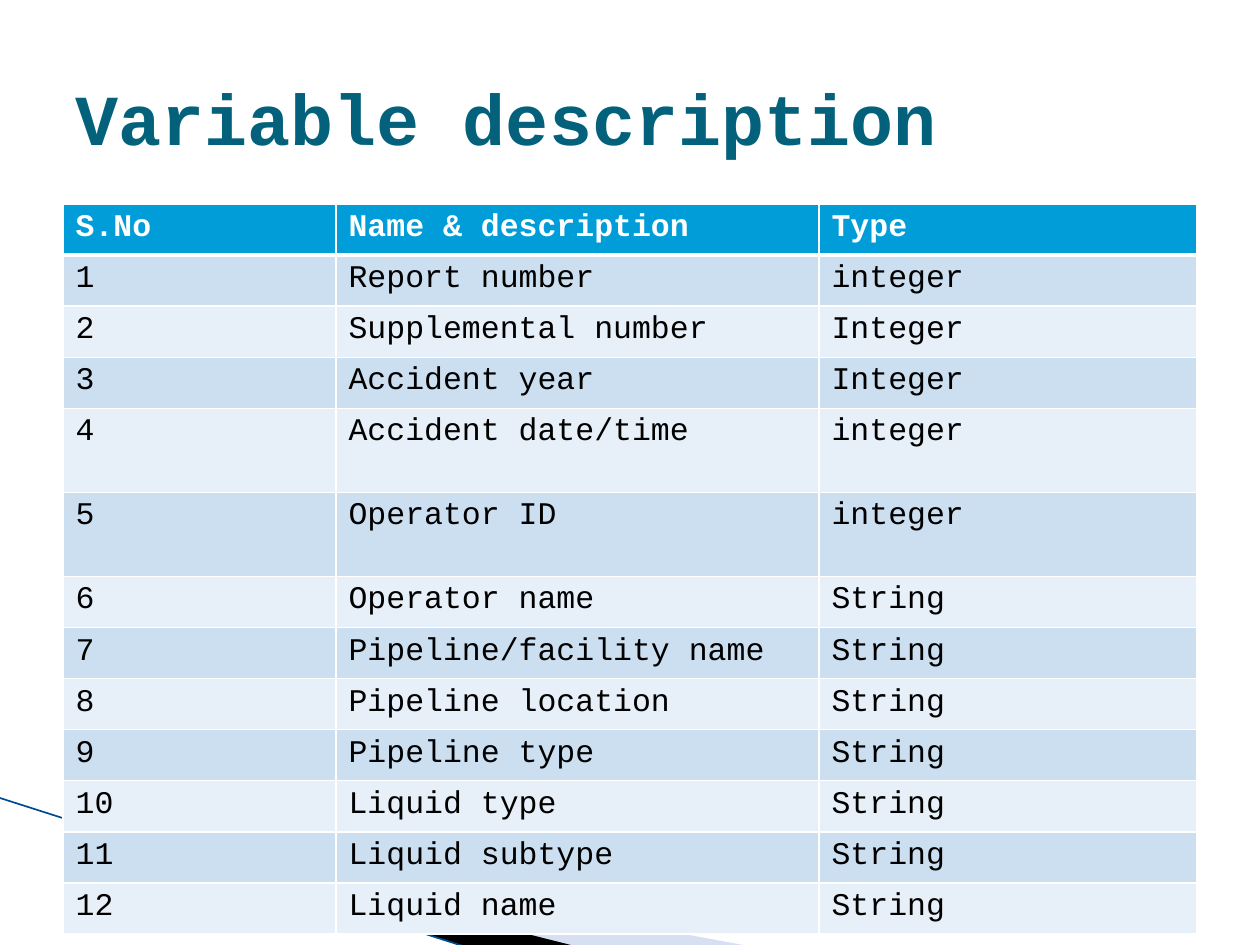
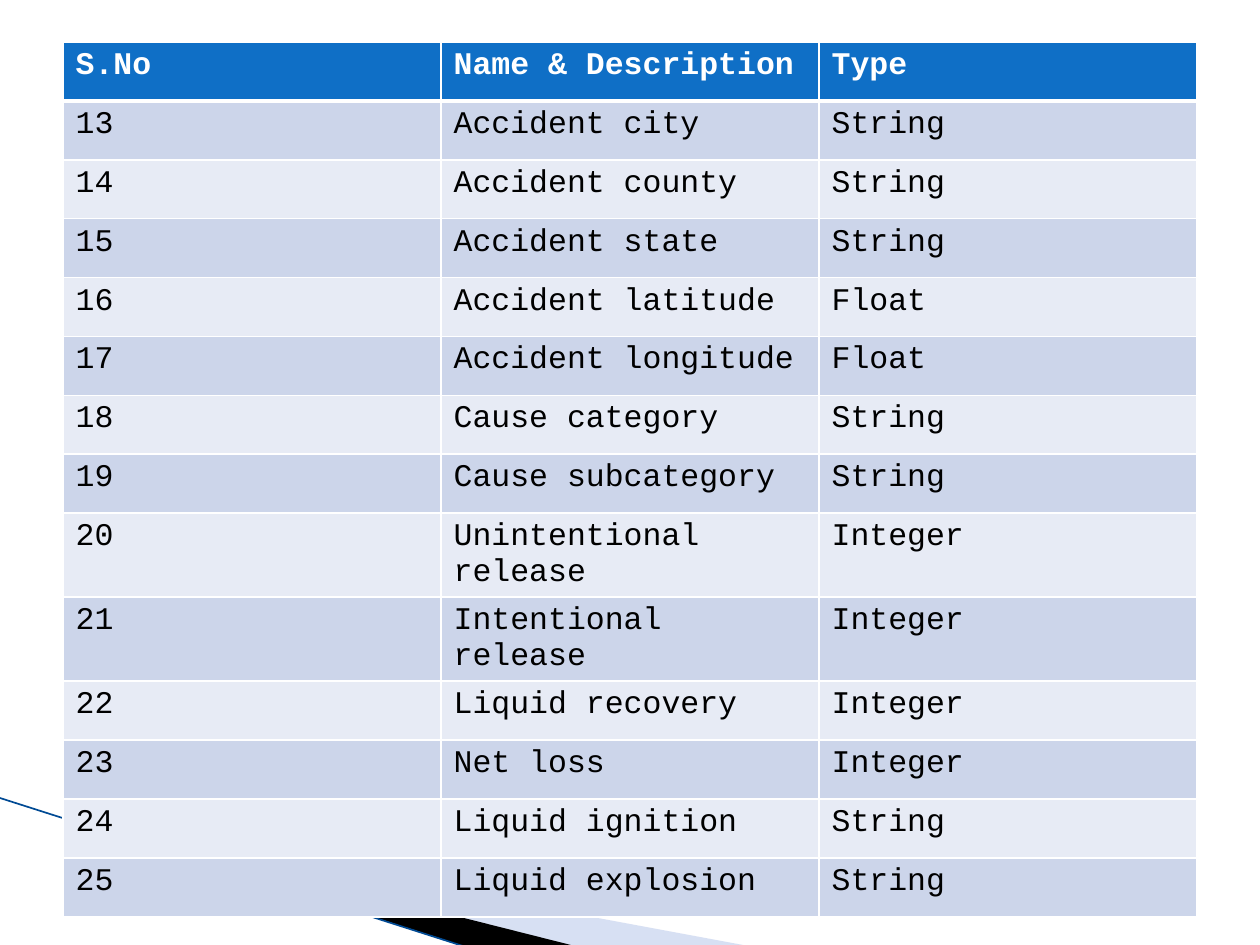
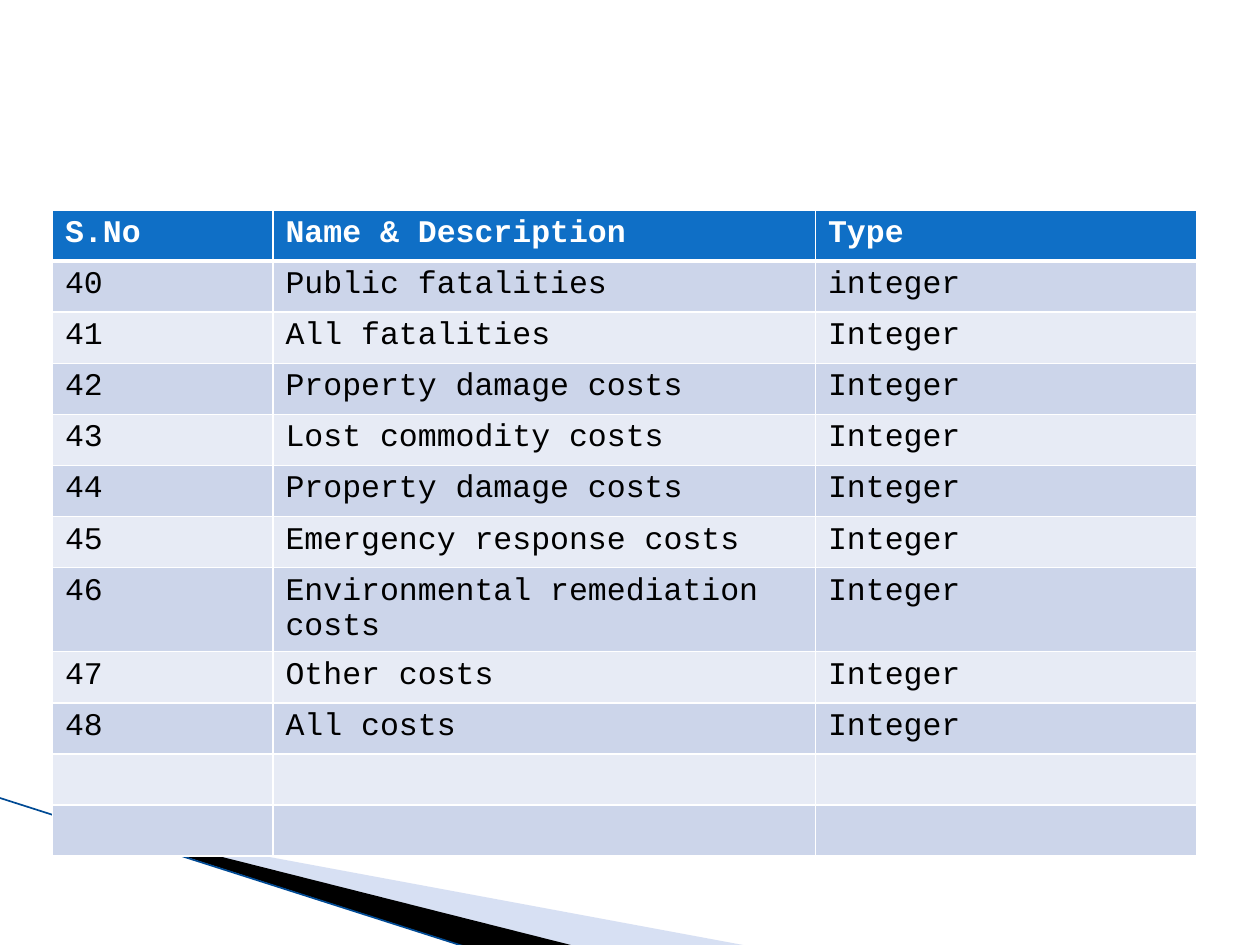
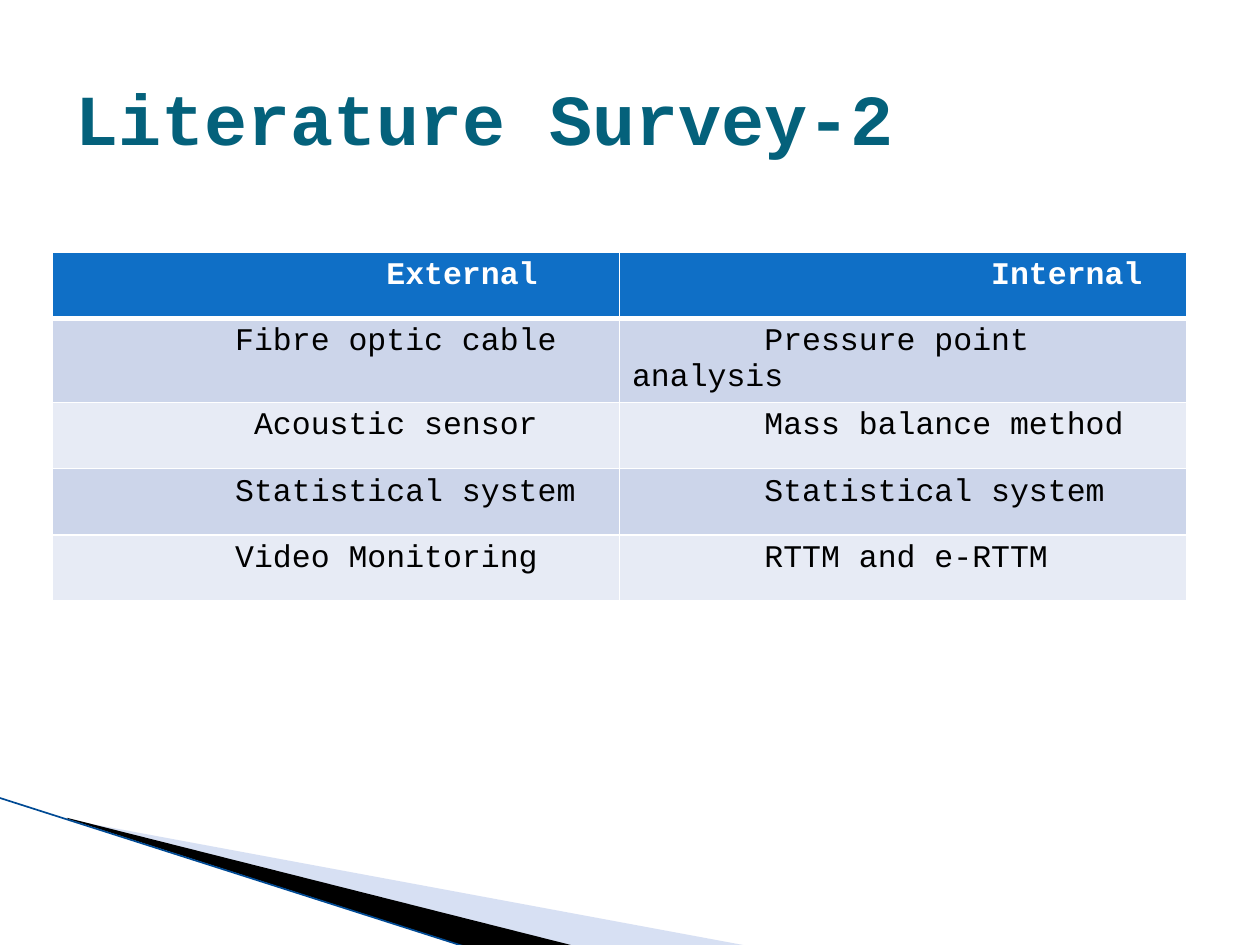
from lxml import etree
from pptx import Presentation
from pptx.dml.color import RGBColor
from pptx.enum.shapes import MSO_CONNECTOR
from pptx.enum.text import MSO_ANCHOR, MSO_AUTO_SIZE, PP_ALIGN
from pptx.oxml.ns import qn
from pptx.util import Pt

STRAIGHT = MSO_CONNECTOR.STRAIGHT
MIDDLE, TOP = MSO_ANCHOR.MIDDLE, MSO_ANCHOR.TOP
NO_AUTOFIT = MSO_AUTO_SIZE.NONE
LEFT = PP_ALIGN.LEFT

FONT = "Courier New"
CHAR_WIDTH = 10.8
WHITE, BLACK, TITLE_COLOR = "FFFFFF", "000000", "04617B"
SWEEP_TINT, SWEEP_EDGE = "9DB2E1", "004A94"
CYAN_SCHEME = ("009DD9", "CCDFF1", "E7EFF8")
BLUE_SCHEME = ("0F6FC6", "CCD5EA", "E7EBF5")
TITLE_BOX = (36, 21.6, 648, 90)
TITLE_ONLY, BLANK = 5, 6
TALL_ROW = 48


def rgb(hex_color):
    """Turn a hex string into a colour."""
    return RGBColor.from_string(hex_color)


def add_run(paragraph, text, size, color, bold):
    """Add one formatted run to a paragraph."""
    run = paragraph.add_run()
    run.text = text
    run.font.name = FONT
    run.font.size = Pt(size)
    run.font.bold = bold
    run.font.color.rgb = rgb(color)


def reframe(wedge, frame):
    """Give a wedge another frame while its corners stay in place."""
    left, top, width, height = map(Pt, frame)
    shift_x, shift_y = wedge.left - left, wedge.top - top
    outline = wedge.element.spPr.find(".//" + qn("a:path"))
    outline.set("w", str(width))
    outline.set("h", str(height))
    for corner in outline.iter(qn("a:pt")):
        corner.set("x", str(int(corner.get("x")) + shift_x))
        corner.set("y", str(int(corner.get("y")) + shift_y))
    wedge.left, wedge.top = left, top
    wedge.width, wedge.height = width, height


def add_wedge(slide, frame, corners, color, opacity=100):
    """Draw a closed, borderless wedge through corners given in points."""
    start, *others = [(Pt(x), Pt(y)) for x, y in corners]
    builder = slide.shapes.build_freeform(*start, scale=1.0)
    builder.add_line_segments(others, close=True)
    wedge = builder.convert_to_shape()
    reframe(wedge, frame)
    wedge.shadow.inherit = False
    wedge.fill.solid()
    wedge.fill.fore_color.rgb = rgb(color)
    wedge.line.fill.background()
    if opacity < 100:
        tint = wedge.element.spPr.find(qn("a:solidFill"))[0]
        etree.SubElement(tint, qn("a:alpha"), val=str(opacity * 1000))
    return wedge


def add_edge(slide, start, end, color, width):
    """Draw a plain straight line between two points."""
    edge = slide.shapes.add_connector(
        STRAIGHT, *(Pt(value) for value in (*start, *end)))
    edge.line.color.rgb = rgb(color)
    edge.line.width = Pt(width)
    etree.SubElement(edge.element.spPr, qn("a:effectLst"))
    return edge


def decorate_master(master, slide):
    """Draw the corner sweep and move it to the master for all slides."""
    sweep = [
        add_wedge(slide, (56.2, 393.8, 299.5, 113.8),
                  [(39.6, 468.5), (428.4, 540.7), (328.3, 540.7),
                   (39.6, 468)], SWEEP_TINT, 40),
        add_wedge(slide, (-4.3, 455.8, 299.5, 66.2),
                  [(38.2, 467.3), (329, 540.7), (267.8, 541.4),
                   (38.9, 468)], BLACK),
        add_edge(slide, (-0.7, 455.8), (267.1, 541.4), SWEEP_EDGE, 0.95),
    ]
    for number, part in enumerate(sweep, start=20):
        part.element.xpath("./*/p:cNvPr")[0].set("id", str(number))
        master.shapes.element.append(part.element)


def set_title(slide, text, box=TITLE_BOX):
    """Place and format the title placeholder."""
    title = slide.shapes.title
    title.left, title.top, title.width, title.height = map(Pt, box)
    frame = title.text_frame
    frame.word_wrap = True
    frame.auto_size = NO_AUTOFIT
    frame.vertical_anchor = MIDDLE
    frame.paragraphs[0].alignment = LEFT
    add_run(frame.paragraphs[0], text, 41, TITLE_COLOR, True)


def set_borders(cell, bottom):
    """Give a cell white borders, with its own bottom width."""
    properties = cell._tc.get_or_add_tcPr()
    for side, width in (("L", 1), ("R", 1), ("T", 1), ("B", bottom)):
        border = etree.SubElement(
            properties, qn(f"a:ln{side}"), w=str(Pt(width)))
        fill = etree.SubElement(border, qn("a:solidFill"))
        etree.SubElement(fill, qn("a:srgbClr"), val=WHITE)


def fill_cell(cell, text, fill, is_header, indent):
    """Format one cell and write its text with a first-line indent."""
    set_borders(cell, 3 if is_header else 1)
    cell.fill.solid()
    cell.fill.fore_color.rgb = rgb(fill)
    cell.vertical_anchor = TOP
    paragraph = cell.text_frame.paragraphs[0]
    if indent:
        properties = paragraph._p.get_or_add_pPr()
        properties.set("marL", "0")
        properties.set("indent", str(Pt(indent * CHAR_WIDTH)))
    if text:
        add_run(paragraph, text, 18, WHITE if is_header else BLACK, is_header)


def add_grid(slide, origin, widths, row_height, rows, scheme,
             tall_rows=(), indents=None):
    """Add a banded table; indents hold characters per cell."""
    header_fill, odd_fill, even_fill = scheme
    heights = [TALL_ROW if number in tall_rows else row_height
               for number in range(len(rows))]
    box = (*origin, sum(widths), sum(heights))
    grid = slide.shapes.add_table(
        len(rows), len(widths), *map(Pt, box)).table
    grid.horz_banding = False
    for column, width in zip(grid.columns, widths):
        column.width = Pt(width)
    for number, (texts, height) in enumerate(zip(rows, heights)):
        grid.rows[number].height = Pt(height)
        band = odd_fill if number % 2 else even_fill
        for place, text in enumerate(texts):
            fill_cell(grid.cell(number, place), text,
                      band if number else header_fill, number == 0,
                      indents[number][place] if indents else 0)


def variable_rows(heading, first, variables):
    """Number the variables from first, under a heading row."""
    return [("S.No", heading, "Type")] + [
        (str(number), name, kind)
        for number, (name, kind) in enumerate(variables, start=first)]


REPORT_VARIABLES = [
    ("Report number", "integer"),
    ("Supplemental number", "Integer"),
    ("Accident year", "Integer"),
    ("Accident date/time", "integer"),
    ("Operator ID", "integer"),
    ("Operator name", "String"),
    ("Pipeline/facility name", "String"),
    ("Pipeline location", "String"),
    ("Pipeline type", "String"),
    ("Liquid type", "String"),
    ("Liquid subtype", "String"),
    ("Liquid name", "String"),
]
ACCIDENT_VARIABLES = [
    ("Accident city", "String"),
    ("Accident county", "String"),
    ("Accident state", "String"),
    ("Accident latitude", "Float"),
    ("Accident longitude", "Float"),
    ("Cause category", "String"),
    ("Cause subcategory", "String"),
    ("Unintentional release", "Integer"),
    ("Intentional release", "Integer"),
    ("Liquid recovery", "Integer"),
    ("Net loss", "Integer"),
    ("Liquid ignition", "String"),
    ("Liquid explosion", "String"),
]
COST_VARIABLES = [
    ("Public fatalities", "integer"),
    ("All fatalities", "Integer"),
    ("Property damage costs", "Integer"),
    ("Lost commodity costs", "Integer"),
    ("Property damage costs", "Integer"),
    ("Emergency response costs", "Integer"),
    ("Environmental remediation costs", "Integer"),
    ("Other costs", "Integer"),
    ("All costs", "Integer"),
]
DETECTION_METHODS = [
    ("External", "Internal"),
    ("Fibre optic cable", "Pressure point analysis"),
    ("Acoustic sensor", "Mass balance method"),
    ("Statistical system", "Statistical system"),
    ("Video Monitoring", "RTTM and e-RTTM"),
]
METHOD_INDENTS = [(17, 19), (9, 7), (10, 7), (9, 7), (9, 7)]


def main():
    """Build the four slides and save them."""
    deck = Presentation()
    deck.slide_width, deck.slide_height = Pt(720), Pt(540)
    report, accident, cost, survey = [
        deck.slides.add_slide(deck.slide_layouts[layout])
        for layout in (TITLE_ONLY, BLANK, BLANK, TITLE_ONLY)]
    decorate_master(deck.slide_master, report)

    set_title(report, "Variable description")
    add_grid(report, (36, 116.6), (156, 276, 216), 29.2,
             variable_rows("Name & description", 1, REPORT_VARIABLES),
             CYAN_SCHEME, tall_rows=(4, 5))

    add_grid(accident, (36, 24), (216, 216, 216), 33.66,
             variable_rows("Name & Description", 13, ACCIDENT_VARIABLES),
             BLUE_SCHEME, tall_rows=(8, 9))

    add_grid(cost, (30, 120), (126, 310, 218), 29.2,
             variable_rows("Name & Description", 40, COST_VARIABLES)
             + [("", "", "")] * 2,
             BLUE_SCHEME, tall_rows=(7,))

    add_grid(survey, (30, 144), (324, 324), 37.85, DETECTION_METHODS,
             BLUE_SCHEME, tall_rows=(1,), indents=METHOD_INDENTS)
    set_title(survey, "Literature Survey-2")

    deck.save("out.pptx")


main()
